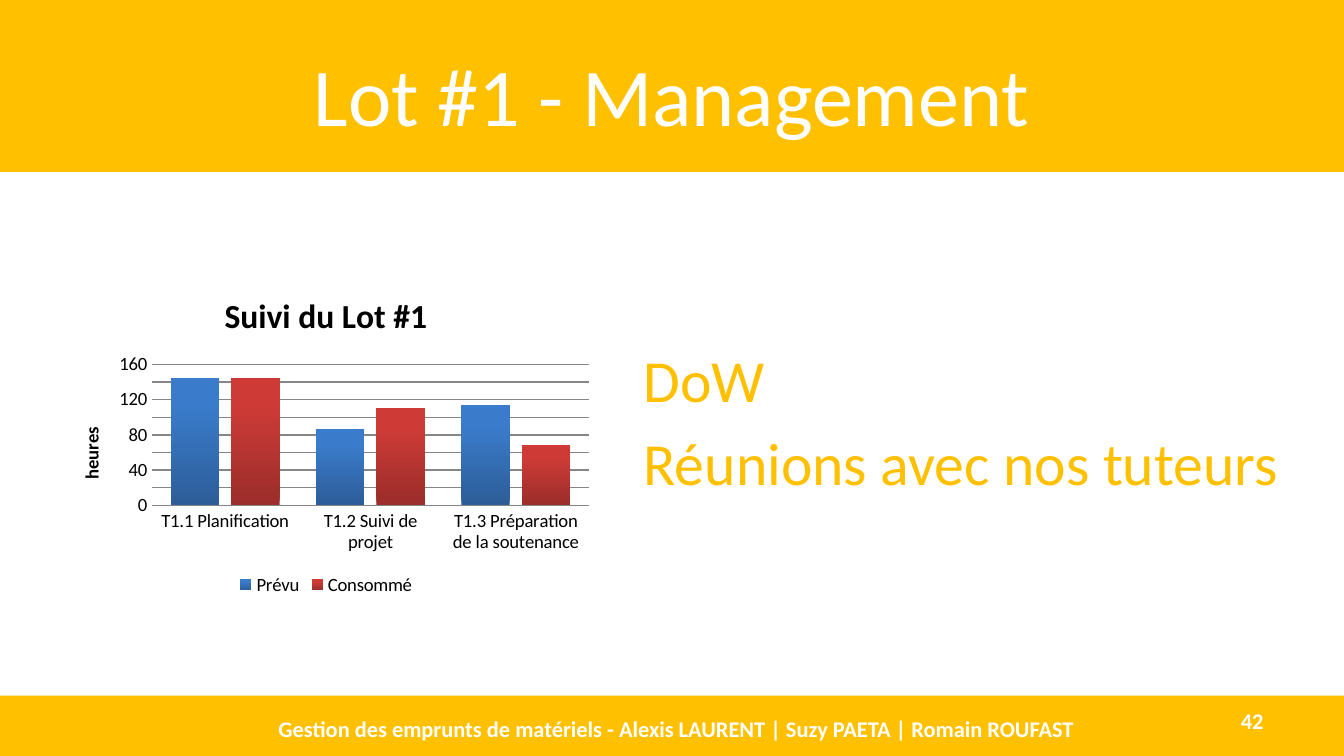
from dataclasses import dataclass

from pptx import Presentation
from pptx.chart.data import CategoryChartData
from pptx.dml.color import RGBColor
from pptx.enum.chart import XL_CHART_TYPE, XL_LEGEND_POSITION, XL_TICK_MARK
from pptx.enum.shapes import MSO_SHAPE
from pptx.enum.text import MSO_ANCHOR, PP_ALIGN
from pptx.util import Inches, Pt


@dataclass(frozen=True)
class Theme:
    font: str = "Calibri"
    accent: str = "FFC000"
    white: str = "FFFFFF"
    black: str = "000000"
    grid: str = "868686"
    planned: tuple = ("2C5D98", "3A7CCB")
    consumed: tuple = ("9B2D2A", "CE3B37")
    title_size: int = 44
    body_size: int = 32
    chart_title_size: int = 18
    footer_size: int = 12
    chart_size: int = 10


THEME = Theme()
SLIDE_WIDTH = 10
SLIDE_HEIGHT = SLIDE_WIDTH * 9 / 16
FOOTER_HEIGHT = 0.45


def style_font(font, size, color, bold=False):
    font.name = THEME.font
    font.size = Pt(size)
    font.bold = bold
    font.color.rgb = RGBColor.from_string(color)


def add_band(slide, box):
    band = slide.shapes.add_shape(MSO_SHAPE.RECTANGLE, *map(Inches, box))
    band.shadow.inherit = False
    band.fill.solid()
    band.fill.fore_color.rgb = RGBColor.from_string(THEME.accent)
    band.line.fill.background()


def add_text(slide, box, lines, size, color, bold=False,
             align=PP_ALIGN.LEFT, anchor=MSO_ANCHOR.MIDDLE):
    text_frame = slide.shapes.add_textbox(*map(Inches, box)).text_frame
    text_frame.word_wrap = True
    text_frame.vertical_anchor = anchor
    text_frame.text = "\n".join(lines)
    for index, paragraph in enumerate(text_frame.paragraphs):
        paragraph.alignment = align
        if index:
            paragraph.space_before = Pt(size * 0.2)
        for run in paragraph.runs:
            style_font(run.font, size, color, bold)


def add_header(slide, box, title):
    left, top, width, height = box
    add_band(slide, box)
    add_text(slide, (left + 0.5, top + 0.23, width - 1, 0.94), [title],
             THEME.title_size, THEME.white, align=PP_ALIGN.CENTER)


def add_footer(slide, box, caption, number):
    left, top, width, height = box
    add_band(slide, box)
    add_text(slide, (left + 7.17, top + 0.04, 2.33, 0.3), [number],
             THEME.footer_size, THEME.white, True, PP_ALIGN.RIGHT)
    add_text(slide, (left + 1.61, top + 0.04, 6.85, 0.41), [caption],
             THEME.footer_size, THEME.white, True, PP_ALIGN.CENTER)


def style_title(title, text, size):
    title.text_frame.text = text
    style_font(title.text_frame.paragraphs[0].runs[0].font,
               size, THEME.black, True)


def add_tracking_chart(slide, box):
    data = CategoryChartData()
    data.categories = ["T1.1 Planification", "T1.2 Suivi de projet",
                       "T1.3 Préparation de la soutenance"]
    data.add_series("Prévu", (144, 87, 114))
    data.add_series("Consommé", (144, 111, 68))
    chart = slide.shapes.add_chart(
        XL_CHART_TYPE.COLUMN_CLUSTERED, *map(Inches, box), data).chart
    style_font(chart.font, THEME.chart_size, THEME.black)
    style_title(chart.chart_title, "Suivi du Lot #1", THEME.chart_title_size)
    chart.chart_title.include_in_layout = False
    chart.has_legend = True
    chart.legend.position = XL_LEGEND_POSITION.BOTTOM
    chart.legend.include_in_layout = False

    plot = chart.plots[0]
    plot.gap_width = 75
    plot.overlap = -25
    plot.vary_by_categories = False
    for series, colors in zip(plot.series, (THEME.planned, THEME.consumed)):
        fill = series.format.fill
        fill.gradient()
        fill.gradient_angle = 90
        for stop, color, position in zip(fill.gradient_stops, colors, (0, 0.8)):
            stop.color.rgb = RGBColor.from_string(color)
            stop.position = position

    hours, tasks = chart.value_axis, chart.category_axis
    for axis in (hours, tasks):
        axis.major_tick_mark = XL_TICK_MARK.NONE
        axis.minor_tick_mark = XL_TICK_MARK.NONE
    style_title(hours.axis_title, "heures", THEME.chart_size)
    hours.minimum_scale, hours.maximum_scale, hours.major_unit = 0, 160, 20
    hours.has_major_gridlines = True
    hours.format.line.fill.background()
    for line in (hours.major_gridlines.format.line, tasks.format.line):
        line.color.rgb = RGBColor.from_string(THEME.grid)
        line.width = Pt(0.75)


def main():
    presentation = Presentation()
    presentation.slide_width = Inches(SLIDE_WIDTH)
    presentation.slide_height = Inches(SLIDE_HEIGHT)
    slide = presentation.slides.add_slide(presentation.slide_layouts[6])
    add_header(slide, (0, 0, SLIDE_WIDTH, 1.28), "Lot #1 - Management")
    add_footer(
        slide, (0, SLIDE_HEIGHT - FOOTER_HEIGHT, SLIDE_WIDTH, FOOTER_HEIGHT),
        "Gestion des emprunts de matériels - "
        "Alexis LAURENT | Suzy PAETA | Romain ROUFAST", "42")
    add_tracking_chart(slide, (0.39, 2.03, 4.07, 2.44))
    add_text(slide, (4.69, 2.5, 5.59, 1.42),
             ["DoW", "Réunions avec nos tuteurs"],
             THEME.body_size, THEME.accent, anchor=MSO_ANCHOR.TOP)
    presentation.save("out.pptx")


if __name__ == "__main__":
    main()
